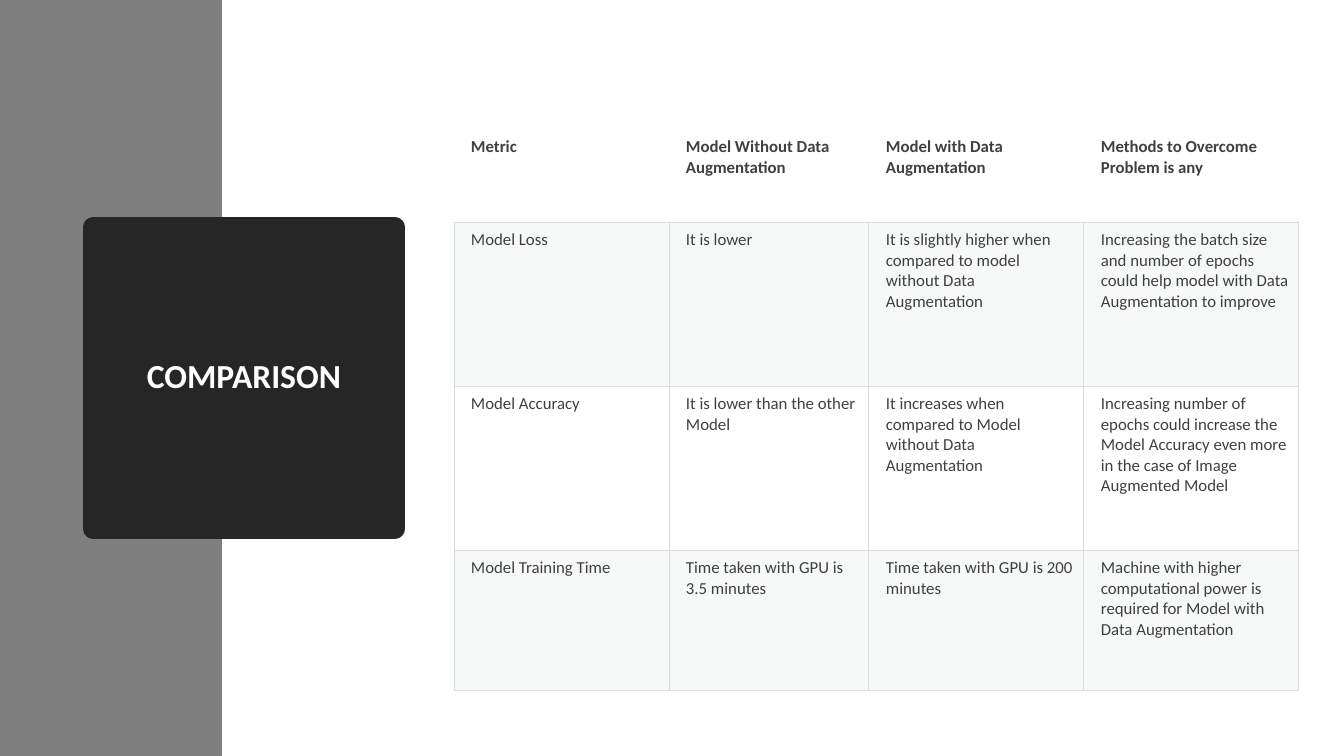
from lxml import etree
from pptx import Presentation
from pptx import util as u
from pptx.dml.color import RGBColor
from pptx.enum import shapes, text
from pptx.oxml import ns

SCALE = 914400 / 100.8
FONT = "Calibri"
GRID_COLOR = "D8DCDC"

ROWS = [
    ["Metric", "Model Without Data Augmentation", "Model with Data Augmentation",
     "Methods to Overcome Problem is any"],
    ["Model Loss", "It is lower",
     "It is slightly higher when compared to model without Data Augmentation",
     "Increasing the batch size and number of epochs could help model with Data "
     "Augmentation to improve"],
    ["Model Accuracy", "It is lower than the other Model",
     "It increases when compared to Model without Data Augmentation",
     "Increasing number of epochs could increase the Model Accuracy even more "
     "in the case of Image Augmented Model"],
    ["Model Training Time", "Time taken with GPU is 3.5 minutes",
     "Time taken with GPU is 200 minutes",
     "Machine with higher computational power is required for Model with Data "
     "Augmentation"],
]
COLUMN_WIDTHS = [215, 200, 215, 215]
ROW_HEIGHTS = [93, 164, 164, 141]


def px(length):
    return u.Emu(round(length * SCALE))


def color(value):
    return RGBColor.from_string(value)


def paint(target, value):
    target.fill.solid()
    target.fill.fore_color.rgb = color(value)


def style_font(paragraph, size, value, bold):
    font = paragraph.font
    font.name = FONT
    font.size = u.Pt(size)
    font.bold = bold
    font.color.rgb = color(value)


def add_side_band(slide, left, top, width, height):
    band = slide.shapes.add_shape(
        shapes.MSO_SHAPE.RECTANGLE, px(left), px(top), px(width), px(height))
    band.shadow.inherit = False
    paint(band, "7F7F7F")
    band.line.fill.background()
    slide.shapes._spTree.insert(2, band._element)


def place_title(slide, left, top, width, height):
    title = slide.shapes.title
    title.left, title.top = px(left), px(top)
    title.width, title.height = px(width), px(height)
    paint(title, "262626")
    title.line.color.rgb = color("262626")
    title.line.width = u.Pt(13.75)
    etree.SubElement(title.line._ln, ns.qn("a:round"))
    frame = title.text_frame
    frame.text = "COMPARISON"
    frame.word_wrap = True
    frame.auto_size = text.MSO_AUTO_SIZE.NONE
    frame.vertical_anchor = text.MSO_ANCHOR.MIDDLE
    paragraph = frame.paragraphs[0]
    paragraph.alignment = text.PP_ALIGN.CENTER
    paragraph.line_spacing = 0.9
    style_font(paragraph, 24, "FFFFFF", True)


def set_borders(cell, visible_sides):
    properties = cell._tc.get_or_add_tcPr()
    for side in "LRTB":
        line = etree.SubElement(properties, ns.qn("a:ln" + side), w=str(u.Pt(0.75)))
        if side in visible_sides:
            fill = etree.SubElement(line, ns.qn("a:solidFill"))
            etree.SubElement(fill, ns.qn("a:srgbClr"), val=GRID_COLOR)
        else:
            etree.SubElement(line, ns.qn("a:noFill"))


def fill_cell(cell, shaded):
    if not shaded:
        cell.fill.background()
        return
    paint(cell, "D8DEDC")
    tint = cell._tc.tcPr.find(".//" + ns.qn("a:srgbClr") + "[@val='D8DEDC']")
    etree.SubElement(tint, ns.qn("a:alpha"), val="20000")


def add_comparison_table(slide, left, top):
    table = slide.shapes.add_table(
        len(ROWS), len(COLUMN_WIDTHS), px(left), px(top),
        px(sum(COLUMN_WIDTHS)), px(sum(ROW_HEIGHTS))).table
    table.first_row = table.horz_banding = False
    for column, width in zip(table.columns, COLUMN_WIDTHS):
        column.width = px(width)
    for index, (row, height, words) in enumerate(zip(table.rows, ROW_HEIGHTS, ROWS)):
        row.height = px(height)
        is_header = index == 0
        for cell, wording in zip(row.cells, words):
            cell.text = wording
            cell.margin_left = px(17)
            cell.margin_top = cell.margin_right = cell.margin_bottom = px(8)
            style_font(cell.text_frame.paragraphs[0], 12, "404040", is_header)
            set_borders(cell, "B" if is_header else "LRTB")
            fill_cell(cell, index % 2 == 1)


def build_comparison_slide(presentation):
    slide = presentation.slides.add_slide(presentation.slide_layouts[5])
    add_side_band(slide, 0, 0, 222, 756)
    place_title(slide, 93, 227, 302, 302)
    add_comparison_table(slide, 454, 129)


presentation = Presentation()
presentation.slide_width = px(1344)
presentation.slide_height = px(756)
build_comparison_slide(presentation)
presentation.save("out.pptx")
